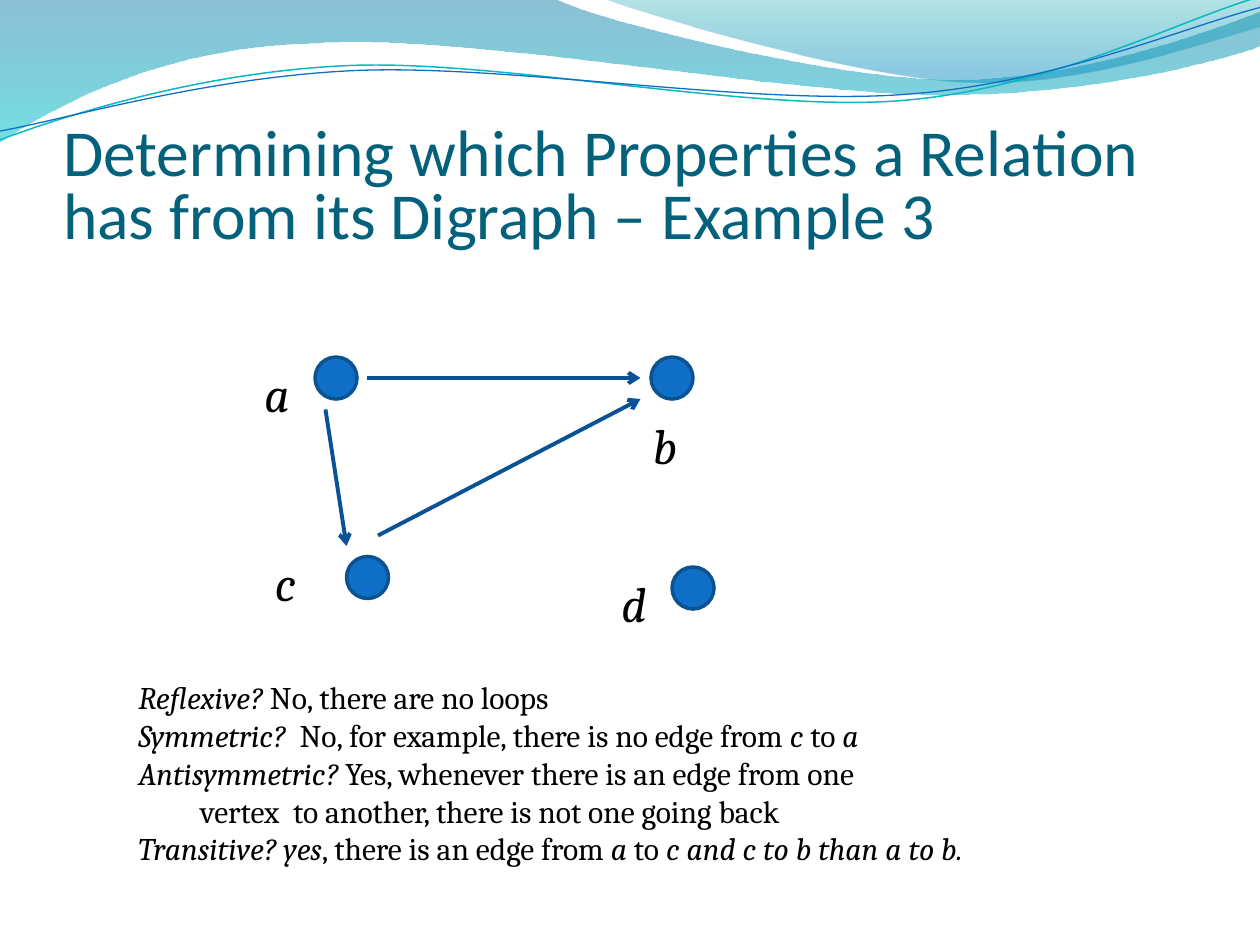
import math

from lxml import etree
from pptx import Presentation
from pptx.dml.color import RGBColor
from pptx.enum.shapes import MSO_CONNECTOR, MSO_SHAPE
from pptx.enum.text import MSO_ANCHOR, MSO_AUTO_SIZE, PP_ALIGN
from pptx.oxml.ns import qn
from pptx.util import Inches, Pt

LEFT = PP_ALIGN.LEFT
TOP, BOTTOM = MSO_ANCHOR.TOP, MSO_ANCHOR.BOTTOM
NO_AUTOFIT = MSO_AUTO_SIZE.NONE
STRAIGHT = MSO_CONNECTOR.STRAIGHT
OVAL = MSO_SHAPE.OVAL

COLORS = {
    "title": "04617B",
    "text": "000000",
    "vertex": "0F6FC6",
    "vertex_line": "0B5292",
    "edge": "095295",
    "wave_blue": "0074A1",
    "wave_cyan": "00C6CF",
    "crest_teal": "00A1A9",
    "crest_blue": "008BBF",
    "thread_teal": "0AB8BF",
    "thread_blue": "0F6FC6",
}
GRID = 1 / 12
VERTEX_CELLS = 4
LABEL_SIZE = (0.42, 0.57)
THREAD_TILT = 2.7

WAVE = [
    [(0, 0)], [(4.4, -0.01)],
    [(4.76, 0.17), (6.64, 0.63), (7.58, 0.63)],
    [(8.53, 0.63), (9.58, 0.26), (10, 0.09)],
    [(10.01, 0.36)],
    [(9.83, 0.44), (8.7, 0.76), (7.46, 0.75)],
    [(6.22, 0.75), (3.82, 0.28), (2.57, 0.34)],
    [(1.29, 0.36), (0.46, 0.83), (-0.01, 1.13)],
]
CREST = [
    [(4.79, -0.01)],
    [(5.09, 0.11), (6.82, 0.62), (7.69, 0.65)],
    [(8.56, 0.69), (9.61, 0.32), (10, 0.21)],
    [(10, 0)],
]
TEAL_THREAD = [
    [(0, 1.11)],
    [(0.48, 0.93), (1.58, 0.57), (2.77, 0.52)],
    [(3.95, 0.47), (5.93, 0.89), (7.13, 0.8)],
    [(8.33, 0.71), (9.38, 0.15), (9.98, -0.02)],
]
BLUE_THREAD = [
    [(0, 1.04)],
    [(0.47, 0.96), (1.64, 0.61), (2.83, 0.56)],
    [(4.03, 0.51), (5.97, 0.84), (7.17, 0.75)],
    [(8.36, 0.67), (9.41, 0.21), (10, 0.06)],
]

VERTICES = {
    "a": {"dot": (6, 0), "label": (0, 0)},
    "b": {"dot": (38, 0), "label": (37, 5)},
    "c": {"dot": (9, 19), "label": (1, 18)},
    "d": {"dot": (40, 20), "label": (34, 20)},
}
EDGES = [((11, 2), (37, 2)), ((7, 5), (9, 18)), ((12, 17), (37, 4))]
ANSWERS = [
    ("*Reflexive?* No, there are no loops", 0),
    ("*Symmetric?*  No, for example, there is no edge from *c* to *a*", 0),
    ("*Antisymmetric?* Yes, whenever there is an edge from one", 0),
    ("vertex  to another, there is not one going back", 0.49),
    ("*Transitive? yes*, there is an edge from *a* to *c and c to b than a to b.*", 0),
]


def rgb(name):
    return RGBColor.from_string(COLORS[name])


def add_text(paragraph, text, size, font="Cambria", color="text", indent=0, spacing=None):
    paragraph.alignment = LEFT
    paragraph.line_spacing = spacing
    if indent:
        paragraph._p.get_or_add_pPr().set("marL", str(Inches(indent)))
    for index, part in enumerate(text.split("*")):
        if part:
            run = paragraph.add_run()
            run.text = part
            run.font.name = font
            run.font.size = Pt(size)
            run.font.italic = index % 2 == 1
            run.font.color.rgb = rgb(color)


def add_text_box(slide, box):
    frame = slide.shapes.add_textbox(*map(Inches, box)).text_frame
    frame.word_wrap = True
    frame.vertical_anchor = TOP
    return frame


def turn(segments, center, degrees):
    cosine, sine = math.cos(math.radians(degrees)), math.sin(math.radians(degrees))
    return [
        [(center[0] + (x - center[0]) * cosine - (y - center[1]) * sine,
          center[1] + (x - center[0]) * sine + (y - center[1]) * cosine) for x, y in segment]
        for segment in segments
    ]


def add_outline(slide, segments, left, top, closed):
    points = [(Inches(left + x), Inches(top + y)) for segment in segments for x, y in segment]
    builder = slide.shapes.build_freeform(*points[0])
    builder.add_line_segments(points[1:], close=closed)
    shape = builder.convert_to_shape()
    shape.shadow.inherit = False
    lines = iter(list(shape._element.spPr.iter(qn("a:lnTo"))))
    for segment in segments[1:]:
        first, *others = [next(lines) for _ in segment]
        if others:
            first.addprevious(curve := etree.Element(qn("a:cubicBezTo")))
            for line in (first, *others):
                curve.append(line[0])
                line.getparent().remove(line)
    return shape


def add_header_waves(slide, left, top):
    for segments, stops in (
        (WAVE, (("wave_blue", 0, 45), ("wave_cyan", 1, 55))),
        (CREST, (("crest_teal", 0, 30), ("crest_blue", 0.8, 45))),
    ):
        shape = add_outline(slide, segments, left, top, True)
        shape.line.fill.background()
        shape.fill.gradient()
        shape.fill.gradient_angle = 270
        for stop, (color, position, _) in zip(shape.fill.gradient_stops, stops):
            stop.color.rgb = rgb(color)
            stop.position = position
        for element, (_, _, opacity) in zip(shape._element.spPr.iter(qn("a:srgbClr")), stops):
            etree.SubElement(element, qn("a:alpha")).set("val", str(opacity * 1000))
    for segments, center, color, width in (
        (TEAL_THREAD, (4.99, 0.57), "thread_teal", 0.85),
        (BLUE_THREAD, (5, 0.59), "thread_blue", 0.75),
    ):
        shape = add_outline(slide, turn(segments, center, THREAD_TILT), left, top, False)
        shape.rotation = 360 - THREAD_TILT
        shape.fill.background()
        shape.line.color.rgb = rgb(color)
        shape.line.width = Pt(width)


def add_edge(slide, start, end):
    edge = slide.shapes.add_connector(STRAIGHT, *map(Inches, (*start, *end)))
    edge.line.color.rgb = rgb("edge")
    edge.line.width = Pt(2.25)
    etree.SubElement(edge.line._get_or_add_ln(), qn("a:tailEnd")).set("type", "arrow")
    etree.SubElement(edge._element.spPr, qn("a:effectLst"))


def add_digraph(slide, left, top):
    def place(cell):
        return left + cell[0] * GRID, top + cell[1] * GRID

    diameter = VERTEX_CELLS * GRID
    for start, end in EDGES:
        add_edge(slide, place(start), place(end))
    for name, vertex in VERTICES.items():
        box = (*place(vertex["dot"]), diameter, diameter)
        dot = slide.shapes.add_shape(OVAL, *map(Inches, box))
        dot.shadow.inherit = False
        dot.fill.solid()
        dot.fill.fore_color.rgb = rgb("vertex")
        dot.line.color.rgb = rgb("vertex_line")
        dot.line.width = Pt(2)
        frame = add_text_box(slide, (*place(vertex["label"]), *LABEL_SIZE))
        add_text(frame.paragraphs[0], f"*{name}*", size=28)


def add_answers(slide, box):
    frame = add_text_box(slide, box)
    for index, (text, indent) in enumerate(ANSWERS):
        paragraph = frame.add_paragraph() if index else frame.paragraphs[0]
        add_text(paragraph, text, size=18, indent=indent)


def add_title(slide, box, text):
    title = slide.shapes.title
    title.left, title.top, title.width, title.height = map(Inches, box)
    frame = title.text_frame
    frame.auto_size = NO_AUTOFIT
    frame.word_wrap = True
    frame.vertical_anchor = BOTTOM
    frame.margin_left = frame.margin_right = frame.margin_bottom = 0
    frame.margin_top = Inches(0.05)
    add_text(frame.paragraphs[0], text, size=37.5, font="Calibri", color="title", spacing=0.8)


def main():
    presentation = Presentation()
    presentation.slide_width, presentation.slide_height = Inches(10), Inches(7.5)
    slide = presentation.slides.add_slide(presentation.slide_layouts[5])
    add_header_waves(slide, 0, 0)
    add_title(slide, (0.5, 0.75, 9, 1.25),
              "Determining which Properties a Relation has from its Digraph – Example 3")
    add_digraph(slide, 2, 34 * GRID)
    add_answers(slide, (1, 64 * GRID, 7.25, 1.62))
    presentation.save("out.pptx")


if __name__ == "__main__":
    main()
